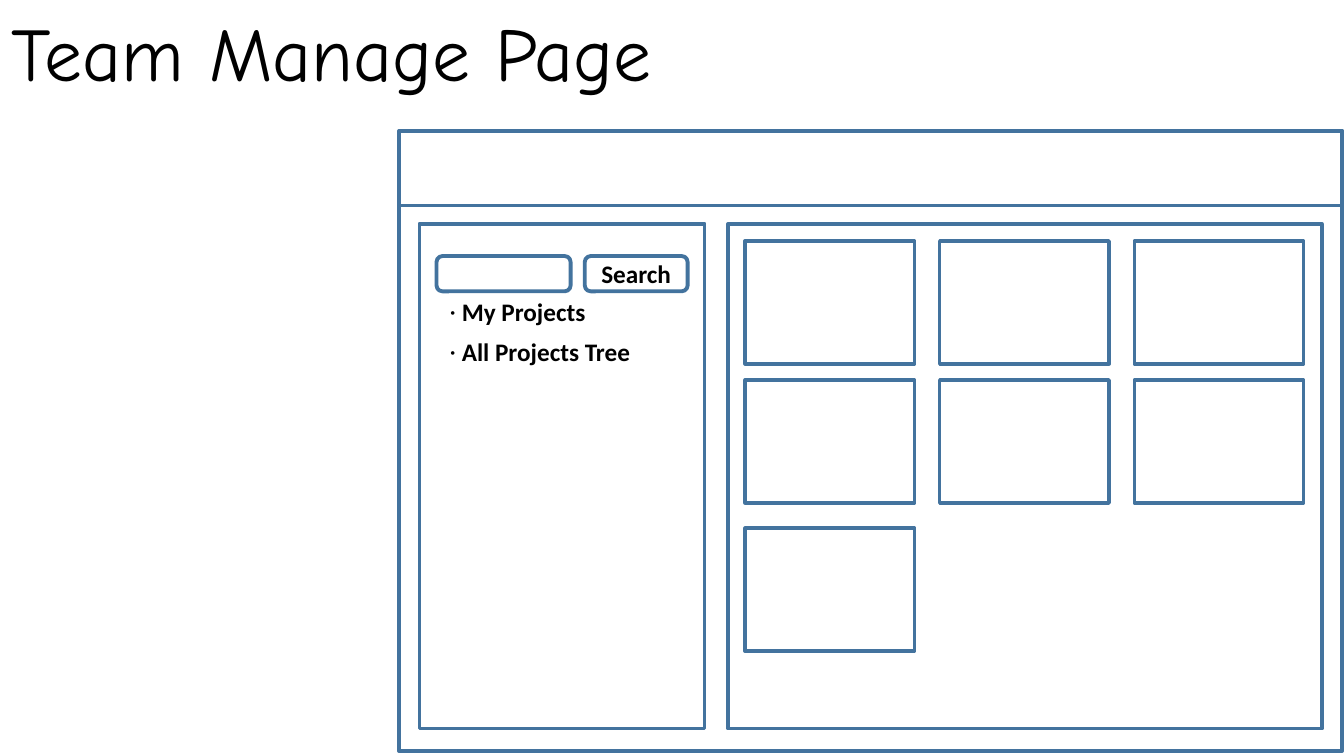
from dataclasses import dataclass

from lxml import etree
from pptx import Presentation
from pptx import util as u
from pptx.dml.color import RGBColor
from pptx.enum import shapes, text
from pptx.oxml.ns import qn

ROWS = 75  # grid rows down the slide; columns have the same width
CELL = u.Inches(7.5) // ROWS


@dataclass(frozen=True)
class Theme:
    ink: RGBColor = RGBColor(0, 0, 0)
    paper: RGBColor = RGBColor(255, 255, 255)
    edge: RGBColor = RGBColor(0x43, 0x73, 0x9E)
    head: str = "Comic Neue"
    body: str = "Calibri"
    big: int = 54
    small: int = 18
    thin: float = 2.5
    mid: float = 2.75
    thick: float = 3


THEME = Theme()


def cells(*spans):
    return [round(CELL * span) for span in spans]


def style(par, face, size, bold=False):
    par.font.name = face
    par.font.size = u.Pt(size)
    par.font.bold = bold
    par.font.color.rgb = THEME.ink


def panel(slide, area, width=THEME.thin, kind=shapes.MSO_SHAPE.RECTANGLE):
    """Add an outlined, unfilled shape over an area of the grid."""
    box = slide.shapes.add_shape(kind, *cells(*area))
    box.shadow.inherit = False
    box.fill.background()
    box.line.color.rgb = THEME.edge
    box.line.width = u.Pt(width)
    return box


def field(slide, area, label=""):
    """Add a rounded input box or a labelled button."""
    box = panel(slide, area, THEME.mid, shapes.MSO_SHAPE.ROUNDED_RECTANGLE)
    if label:
        frame = box.text_frame
        frame.text = label
        frame.word_wrap = False
        frame.vertical_anchor = text.MSO_ANCHOR.MIDDLE
        par = frame.paragraphs[0]
        par.alignment = text.PP_ALIGN.CENTER
        style(par, THEME.body, THEME.small, True)


def place(holder, area):
    """Move a placeholder and return its text frame."""
    holder.left, holder.top, holder.width, holder.height = cells(*area)
    frame = holder.text_frame
    frame.word_wrap = False
    frame.auto_size = text.MSO_AUTO_SIZE.NONE
    frame.vertical_anchor = text.MSO_ANCHOR.TOP
    return frame


def title(slide, area, words):
    frame = place(slide.shapes.title, area)
    frame.text = words
    par = frame.paragraphs[0]
    par.alignment = text.PP_ALIGN.LEFT
    style(par, THEME.head, THEME.big)


def menu(slide, area, items):
    """Fill the body placeholder with a dotted list, in front of the panels."""
    holder = slide.placeholders[1]
    frame = place(holder, area)
    frame.text = "\n".join(items)
    for row, par in enumerate(frame.paragraphs):
        props = par._p.get_or_add_pPr()
        indent = u.Inches(0.12)
        props.set("marL", str(indent))
        props.set("indent", str(-indent))
        etree.SubElement(props, qn("a:buFont")).set("typeface", THEME.body)
        etree.SubElement(props, qn("a:buChar")).set("char", "·")
        par.space_before = u.Pt(7 if row else 0)
        style(par, THEME.body, THEME.small, True)
    slide.shapes._spTree.append(holder._element)


def cards(slide, count, left, tops, step, size):
    """Lay out project cards three to a row."""
    for i in range(count):
        row, col = divmod(i, 3)
        panel(slide, (left + col * step, tops[row], *size))


def main():
    deck = Presentation()
    deck.slide_width, deck.slide_height = u.Inches(13.33), u.Inches(7.5)
    slide = deck.slides.add_slide(deck.slide_layouts[1])

    title(slide, (0.1, 0.1, 67.5, 10.1), "Team Manage Page")

    page = panel(slide, (39.6, 13, 93.5, 61.5), THEME.thick)
    page.fill.solid()
    page.fill.fore_color.rgb = THEME.paper
    panel(slide, (41.6, 22.2, 28.3, 50.1))
    panel(slide, (72.2, 22.2, 58.9, 50.1))
    panel(slide, (39.6, 13, 93.5, 7.4))

    cards(slide, 7, 73.9, (23.9, 37.7, 52.4), 19.3, (16.8, 12.2))

    menu(slide, (43.6, 28.9, 19.9, 8), ("My Projects", "All Projects Tree"))
    field(slide, (43.3, 25.4, 13.3, 3.5))
    field(slide, (58, 25.4, 10.2, 3.5), "Search")

    deck.save("out.pptx")


if __name__ == "__main__":
    main()
